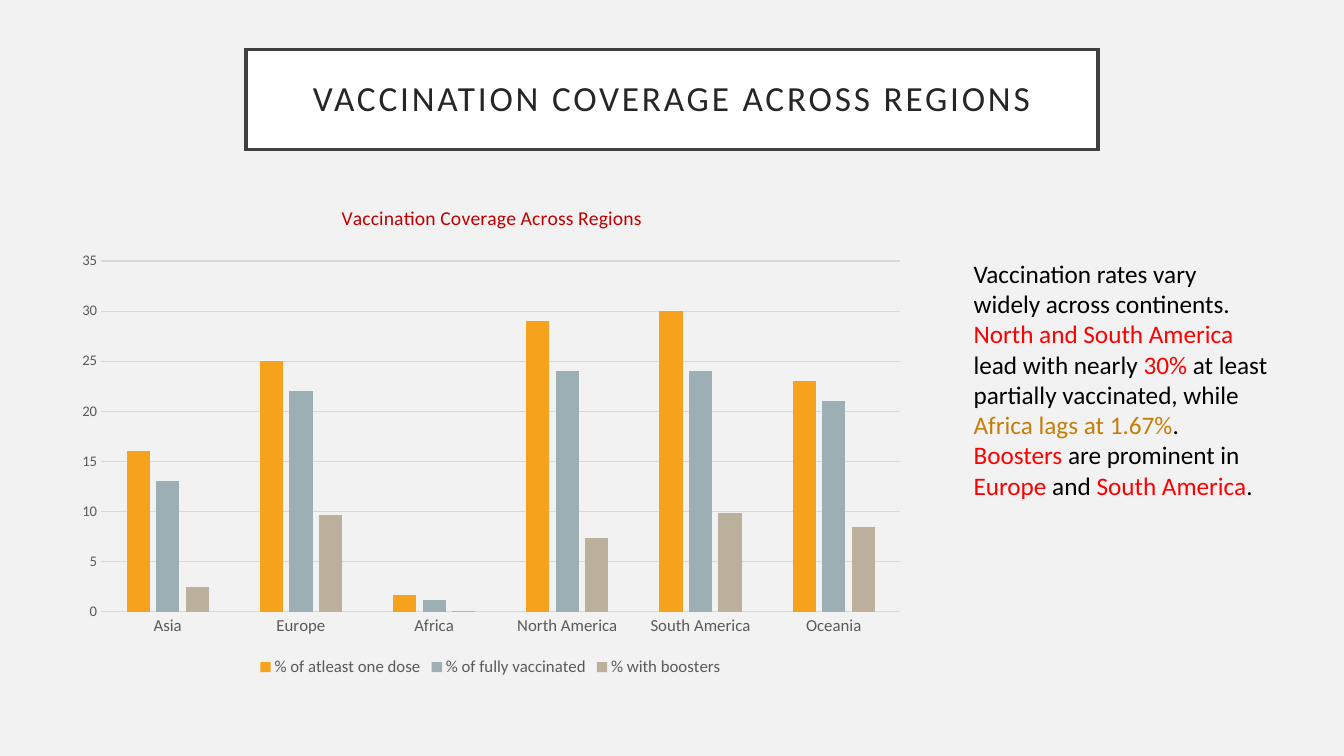
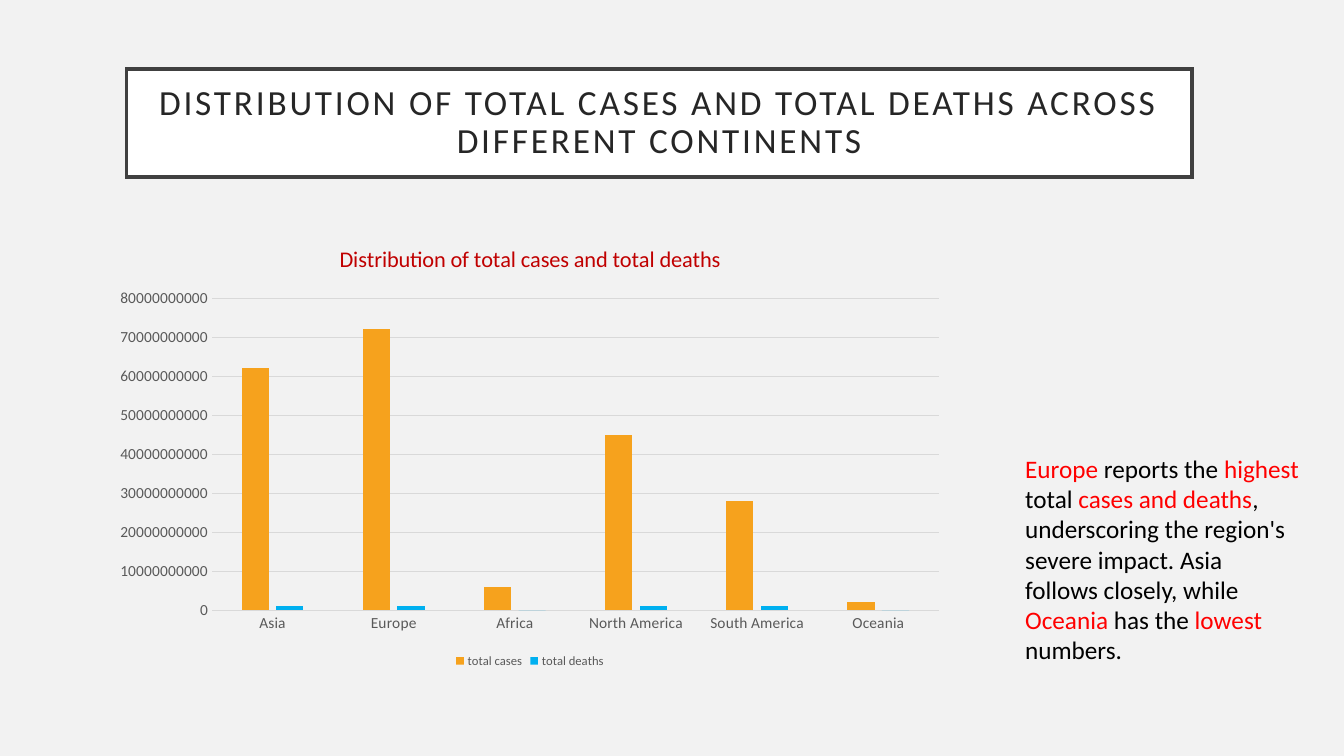
import pptx
import pptx.chart.data
import pptx.dml.color
import pptx.enum.chart
import pptx.enum.shapes
import pptx.enum.text
import pptx.oxml
import pptx.oxml.ns
import pptx.util

WIDE, HIGH = 13.33, 7.5
FACE = "Calibri"
HUES = {
    "page": "F2F2F2", "card": "FFFFFF", "edge": "404040", "head": "262626",
    "ink": "000000", "red": "FF0000", "gold": "C67D08", "title": "C00000",
    "label": "595959", "grid": "D9D9D9",
    "amber": "F6A21D", "slate": "9BAFB5", "sand": "BAB09B", "blue": "00B0F0",
}
LANDS = ["Asia", "Europe", "Africa", "North America", "South America", "Oceania"]


def hue(name):
    """Return the named colour."""
    return pptx.dml.color.RGBColor.from_string(HUES[name])


def place(left, top, width, height):
    """Turn percentages of the slide into a position and a size."""
    return [pptx.util.Inches(share * side / 100) for share, side in
            ((left, WIDE), (top, HIGH), (width, WIDE), (height, HIGH))]


def style(font, size, name):
    """Set the face, size and colour of a font."""
    font.name, font.size, font.bold = FACE, pptx.util.Pt(size), False
    font.color.rgb = hue(name)


def paint(fill, name):
    """Fill with one plain colour."""
    fill.solid()
    fill.fore_color.rgb = hue(name)


def page(deck):
    """Add a blank slide on the shared ground."""
    slide = deck.slides.add_slide(deck.slide_layouts[6])
    paint(slide.background.fill, "page")
    return slide


def banner(slide, box, text):
    """Draw the framed title with square corners."""
    shape = slide.shapes.add_shape(
        pptx.enum.shapes.MSO_SHAPE.RECTANGLE, *place(*box))
    shape.shadow.inherit = False
    paint(shape.fill, "card")
    shape.line.color.rgb = hue("edge")
    shape.line.width = pptx.util.Pt(2.5)
    shape.line._get_or_add_ln().append(pptx.oxml.parse_xml(
        f'<a:miter {pptx.oxml.ns.nsdecls("a")} lim="800000"/>'))
    frame = shape.text_frame
    frame.word_wrap = True
    frame.vertical_anchor = pptx.enum.text.MSO_ANCHOR.MIDDLE
    for side in ("left", "right", "top", "bottom"):
        setattr(frame, "margin_" + side, pptx.util.Inches(0.2))
    para = frame.paragraphs[0]
    para.alignment = pptx.enum.text.PP_ALIGN.CENTER
    para.line_spacing = 0.9
    run = para.add_run()
    run.text = text
    style(para.font, 25.2, "head")
    run.font._element.set("spc", "200")


def note(slide, box, parts):
    """Write a paragraph of coloured parts."""
    frame = slide.shapes.add_textbox(*place(*box)).text_frame
    frame.word_wrap = True
    para = frame.paragraphs[0]
    style(para.font, 18, "ink")
    for text, name in parts:
        run = para.add_run()
        run.text = text
        run.font.color.rgb = hue(name)


def layout(spot, inner=False):
    """Build a manual chart layout from percentages of the chart."""
    aim = '<c:layoutTarget val="inner"/>' if inner else ""
    modes = '<c:xMode val="edge"/><c:yMode val="edge"/>'
    sizes = "".join(
        f'<c:{key} val="{val / 100:.4f}"/>' for key, val in zip("xywh", spot))
    return pptx.oxml.parse_xml(
        f'<c:layout {pptx.oxml.ns.nsdecls("c")}><c:manualLayout>'
        f"{aim}{modes}{sizes}</c:manualLayout></c:layout>")


def fix(node, spot, inner=False):
    """Replace the layout of a chart part."""
    for old in node.findall(pptx.oxml.ns.qn("c:layout")):
        node.remove(old)
    rich = node.find(pptx.oxml.ns.qn("c:tx"))
    node.insert(0 if rich is None else 1, layout(spot, inner))


def columns(slide, box, title, rows, sizes, scale, spots):
    """Draw a clustered column chart by region."""
    data = pptx.chart.data.CategoryChartData()
    data.categories = LANDS
    for name, _, vals in rows:
        data.add_series(name, vals)
    chart = slide.shapes.add_chart(
        pptx.enum.chart.XL_CHART_TYPE.COLUMN_CLUSTERED, *place(*box), data).chart
    head, cats, ticks, keys = sizes
    style(chart.font, 10, "ink")
    frame = chart.chart_title.text_frame
    frame.text = title
    style(frame.paragraphs[0].font, head, "title")
    chart.chart_title.include_in_layout = False
    chart.has_legend = True
    chart.legend.position = pptx.enum.chart.XL_LEGEND_POSITION.BOTTOM
    chart.legend.include_in_layout = False
    style(chart.legend.font, keys, "label")

    none = pptx.enum.chart.XL_TICK_MARK.NONE
    for axis, size in ((chart.category_axis, cats), (chart.value_axis, ticks)):
        axis.major_tick_mark = axis.minor_tick_mark = none
        style(axis.tick_labels.font, size, "label")
    axis = chart.value_axis
    axis.minimum_scale = 0
    axis.maximum_scale, axis.major_unit = scale
    axis.tick_labels.number_format = "0"
    axis.tick_labels.number_format_is_linked = False
    axis.format.line.fill.background()
    for line in (chart.category_axis.format.line, axis.major_gridlines.format.line):
        line.color.rgb = hue("grid")
        line.width = pptx.util.Pt(0.75)

    plot = chart.plots[0]
    plot.gap_width, plot.overlap = 219, -27
    plot.vary_by_categories = False
    for series, (_, name, _) in zip(plot.series, rows):
        paint(series.format.fill, name)
    fix(chart.chart_title._element, spots[0])
    fix(chart._chartSpace.chart.plotArea, spots[1], True)


def doses(deck):
    """Build the slide on vaccination coverage."""
    slide = page(deck)
    banner(slide, (18.3, 6.57, 63.4, 13.2), "VACCINATION COVERAGE ACROSS REGIONS")
    columns(
        slide, (4.8, 25.3, 63.4, 64.8), "Vaccination Coverage Across Regions",
        [("% of atleast one dose", "amber", [16, 25, 1.7, 29, 30, 23]),
         ("% of fully vaccinated", "slate", [13, 22, 1.2, 24, 24, 21]),
         ("% with boosters", "sand", [2.5, 9.6, 0.1, 7.4, 9.8, 8.5])],
        (14, 12, 10.5, 12), (35, 5),
        ((32.1, 1.9), (4.3, 14.25, 93.8, 71.6)))
    note(slide, (71.7, 33.5, 23.43, 33.6), [
        ("Vaccination rates vary widely across continents. ", "ink"),
        ("North and South America ", "red"), ("lead with nearly ", "ink"),
        ("30%", "red"), (" at least partially vaccinated, while ", "ink"),
        ("Africa lags at 1.67%", "gold"), (". ", "ink"), ("Boosters", "red"),
        (" are prominent in ", "ink"), ("Europe", "red"), (" and ", "ink"),
        ("South America", "red"), (".", "ink")])


def cases(deck):
    """Build the slide on cases and deaths."""
    slide = page(deck)
    banner(slide, (9.4, 9.15, 79.3, 14.27),
           "DISTRIBUTION OF TOTAL CASES AND TOTAL DEATHS ACROSS DIFFERENT CONTINENTS")
    unit = 10 ** 9
    columns(
        slide, (7.73, 29.87, 63.4, 59.07),
        "Distribution of total cases and total deaths",
        [("total cases", "amber", [n * unit for n in (62, 72, 6, 45, 28, 2)]),
         ("total deaths", "blue", [n * unit for n in (1, 1, 0, 1, 1, 0)])],
        (16, 11, 11, 9), (80 * unit, 10 * unit),
        ((27.2, 3.1), (12.7, 16.2, 85.3, 69.9)))
    note(slide, (75.54, 59.3, 22, 25.6), [
        ("Europe", "red"), (" reports the ", "ink"), ("highest", "red"),
        (" total ", "ink"), ("cases and deaths", "red"),
        (", underscoring the region's severe impact. Asia follows closely, while ", "ink"),
        ("Oceania", "red"), (" has the ", "ink"), ("lowest", "red"),
        (" numbers.", "ink")])


def main():
    """Build and save the deck."""
    deck = pptx.Presentation()
    deck.slide_width = pptx.util.Inches(WIDE)
    deck.slide_height = pptx.util.Inches(HIGH)
    doses(deck)
    cases(deck)
    deck.save("out.pptx")


if __name__ == "__main__":
    main()
